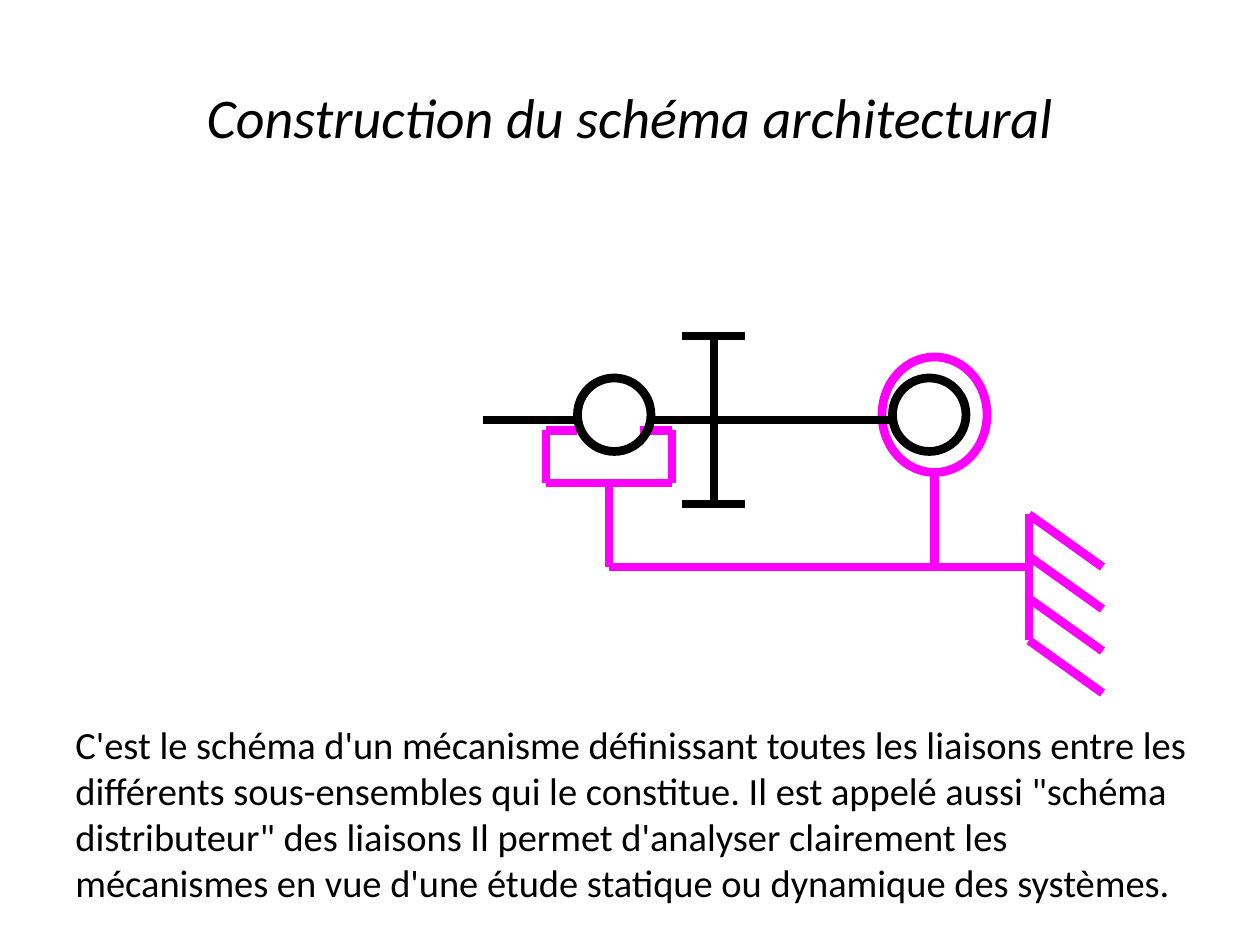
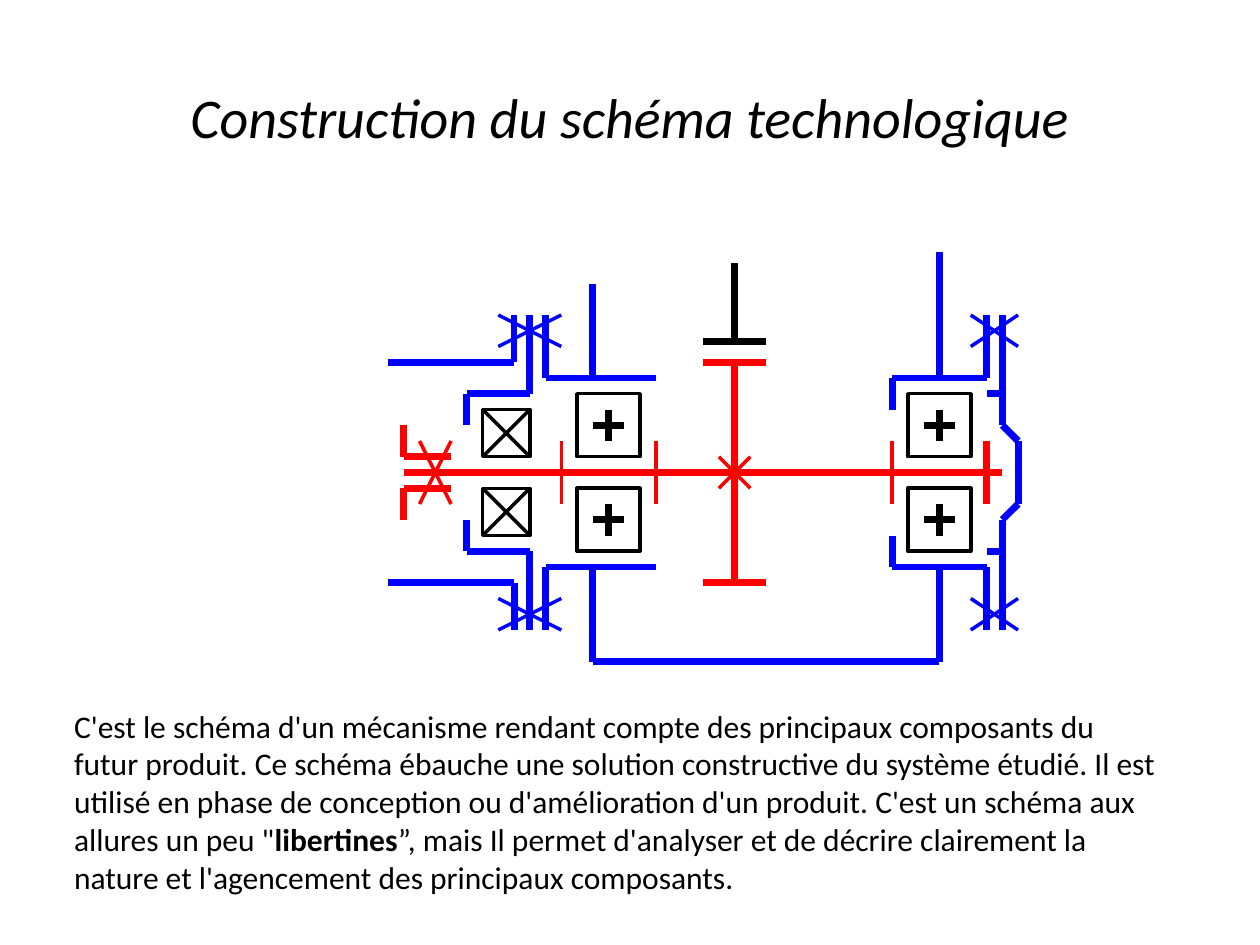
"""Build two slides of linkage diagrams, each with a title and a caption."""
from itertools import pairwise
from lxml import etree
from pptx import Presentation
from pptx.dml.color import RGBColor
from pptx.enum.shapes import MSO_CONNECTOR, MSO_SHAPE
from pptx.enum.text import MSO_ANCHOR, MSO_AUTO_SIZE, PP_ALIGN
from pptx.oxml.ns import qn
from pptx.util import Inches, Pt

LINE = MSO_CONNECTOR.STRAIGHT
OVAL, RECT = MSO_SHAPE.OVAL, MSO_SHAPE.RECTANGLE
MIDDLE, CENTER = MSO_ANCHOR.MIDDLE, PP_ALIGN.CENTER
GROW = MSO_AUTO_SIZE.SHAPE_TO_FIT_TEXT
FONT = "Calibri"
INK = {"black": "000000", "white": "FFFFFF", "pink": "FF00FF",
       "red": "FF0000", "blue": "0000FF"}
AXIS = 14


def cross(x, y, w, h):
    """Return the two diagonals of a box."""
    return [[(x, y), (x + w, y + h)], [(x, y + h), (x + w, y)]]


def plus(x, y, r):
    """Return two bars that meet at a centre."""
    return [[(x, y - r), (x, y + r)], [(x - r, y), (x + r, y)]]


def mirror(paths):
    """Return the paths with their reflection below the shaft axis."""
    return paths + [[(x, 2 * AXIS - y) for x, y in path] for path in paths]


FRAME = [
    [(55, 41), (52, 41), (52, 46), (64, 46), (64, 41), (61, 41)],
    [(58, 46), (58, 54), (98, 54)],
    [(89, 45), (89, 54)],
    [(98, 49), (98, 61)],
] + [[(98, y), (105, y + 5)] for y in (49, 53, 57, 61)]
SHAFT = [
    [(65, 32), (71, 32)], [(68, 32), (68, 48)], [(65, 48), (71, 48)],
    [(46, 40), (55, 40)], [(62, 40), (85, 40)],
]
BALLS = [(x, y) for x in (12, 33) for y in (9, 15)]
SEALS = [(6, 10), (6, 15)]
ROTOR = mirror([[(20, 7), (24, 7)], [(1, 11), (1, 13), (4, 13)]]) + [
    [(1, 14), (39, 14)], [(38, 12), (38, 16)], [(22, 7), (22, 21)]]
MARKS = cross(21, 13, 2, 2) + cross(2, 12, 2, 4) + [
    [(x, 12), (x, 16)] for x in (11, 17, 32)]
CASE = mirror([
    [(0, 7), (8, 7)],
    [(9, 4), (9, 9), (5, 9), (5, 11)],
    [(10, 4), (10, 8), (17, 8)],
    [(32, 10), (32, 8), (38, 8), (38, 4)],
    [(38, 9), (39, 9)],
    [(39, 4), (39, 11), (40, 12)],
]) + [
    [(8, 24), (8, 21)], [(40, 12), (40, 16)],
    [(13, 2), (13, 8)], [(35, 0), (35, 8)],
    [(13, 20), (13, 26), (35, 26), (35, 20)],
]
BOLTS = mirror(cross(7, 4, 4, 2) + cross(37, 4, 3, 2))

SLIDES = [
    {
        "title": "Construction du schéma architectural",
        "grid": (0, 0, 1 / 12),
        "groups": [
            ("pink", [(OVAL, 84, 34, 10, 11, 5)], {5: FRAME}),
            ("black", [(OVAL, x, 36, 7, 7, 5) for x in (55, 85)], {5: SHAFT}),
        ],
        "box": (0.5, 5.67, 9.08, 1.57),
        "size": 22,
        "text": [("C'est le schéma d'un mécanisme définissant toutes les "
                  "liaisons entre les différents sous-ensembles qui le "
                  "constitue. Il est appelé aussi \"schéma distributeur\" des "
                  "liaisons Il permet d'analyser clairement les mécanismes en "
                  "vue d'une étude statique ou dynamique des systèmes.", False)],
    },
    {
        "title": "Construction du schéma technologique",
        "grid": (3.08, 2, 1 / 8),
        "groups": [
            ("black",
             [(RECT, x, y, 4, 4, 2) for x, y in BALLS]
             + [(RECT, x, y, 3, 3, 2) for x, y in SEALS],
             {4: [bar for x, y in BALLS for bar in plus(x + 2, y + 2, 1)],
              2: [bar for x, y in SEALS for bar in cross(x, y, 3, 3)]}),
            ("red", [], {4: ROTOR, 2: MARKS}),
            ("blue", [], {3: [[(8, 4), (8, 7)]], 4: CASE, 2: BOLTS}),
            ("black", [], {4: [[(20, 5.67), (24, 5.67)],
                               [(22, 5.67), (22, 0.67)]]}),
        ],
        "box": (0.49, 5.56, 8.83, 1.6),
        "size": 18,
        "text": [("C'est le schéma d'un mécanisme rendant compte des "
                  "principaux composants du futur produit. Ce schéma ébauche "
                  "une solution constructive du système étudié. Il est utilisé "
                  "en phase de conception ou d'amélioration d'un produit. "
                  "C'est un schéma aux allures un peu \"", False),
                 ("libertines", True),
                 ("”, mais Il permet d'analyser et de décrire clairement la "
                  "nature et l'agencement des principaux composants.", False)],
    },
]


def color(name):
    """Return the named colour."""
    return RGBColor.from_string(INK[name])


def style(font, size):
    """Give a font the shared face and colour."""
    font.name, font.size = FONT, Pt(size)
    font.color.rgb = color("black")


def place(shape, box):
    """Set a shape's left, top, width and height in inches."""
    shape.left, shape.top, shape.width, shape.height = map(Inches, box)


def draw(slide, grid, ink, forms, lines):
    """Draw one group of outlines and line paths on a grid."""
    left, top, step = grid
    shapes = slide.shapes.add_group_shape().shapes

    def at(x, y):
        return Inches(left + x * step), Inches(top + y * step)

    for kind, x, y, w, h, wide in forms:
        form = shapes.add_shape(kind, *at(x, y), Inches(w * step),
                                Inches(h * step))
        form.shadow.inherit = False
        if kind == RECT:
            form.fill.solid()
            form.fill.fore_color.rgb = color("white")
        else:
            form.fill.background()
        form.line.color.rgb, form.line.width = color(ink), Pt(wide)
    for wide, paths in lines.items():
        for path in paths:
            for start, end in pairwise(path):
                bar = shapes.add_connector(LINE, *at(*start), *at(*end))
                bar.line.color.rgb, bar.line.width = color(ink), Pt(wide)
                etree.SubElement(bar._element.spPr, qn("a:effectLst"))


def head(slide, text):
    """Fill and format the title."""
    title = slide.shapes.title
    place(title, (0.5, 0.3, 9, 1.25))
    title.text_frame.text = text
    title.text_frame.vertical_anchor = MIDDLE
    para = title.text_frame.paragraphs[0]
    para.alignment = CENTER
    style(para.font, 32)
    para.font.italic = True


def note(slide, box, size, runs):
    """Add the caption under the diagram."""
    frame = slide.shapes.add_textbox(*map(Inches, box)).text_frame
    frame.word_wrap, frame.auto_size = True, GROW
    para = frame.paragraphs[0]
    style(para.font, size)
    for text, bold in runs:
        run = para.add_run()
        run.text = text
        if bold:
            run.font.bold = True


def main():
    """Build and save the deck."""
    deck = Presentation()
    deck.slide_width, deck.slide_height = Inches(10), Inches(7.5)
    for page in SLIDES:
        slide = deck.slides.add_slide(deck.slide_layouts[5])
        head(slide, page["title"])
        for group in page["groups"]:
            draw(slide, page["grid"], *group)
        note(slide, page["box"], page["size"], page["text"])
    deck.save("out.pptx")


if __name__ == "__main__":
    main()
